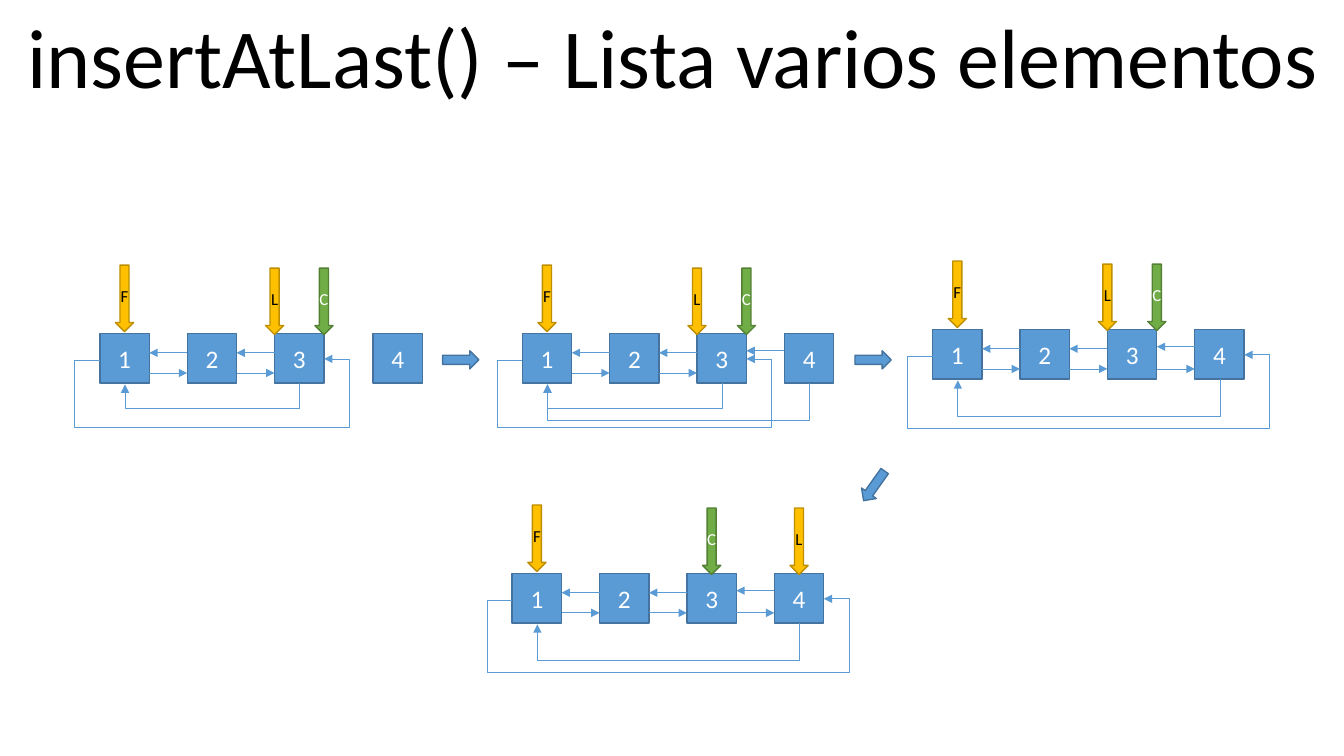
import pptx
import pptx.dml.color
import pptx.enum.shapes
import pptx.enum.text
import pptx.oxml
import pptx.oxml.ns
import pptx.util
from lxml import etree

SHAPE = pptx.enum.shapes.MSO_SHAPE
CONNECTOR = pptx.enum.shapes.MSO_CONNECTOR
CENTER = pptx.enum.text.PP_ALIGN.CENTER
MIDDLE = pptx.enum.text.MSO_ANCHOR.MIDDLE
Inches, Pt = pptx.util.Inches, pptx.util.Pt

SLIDE_WIDTH, SLIDE_HEIGHT = 13.33, 7.5
BLUE, DARK_BLUE = "5B9BD5", "43739E"
BLACK, WHITE = "000000", "FFFFFF"
POINTER_COLOURS = {
    "F": ("FFC000", "BD8E00", BLACK),
    "L": ("FFC000", "BD8E00", BLACK),
    "C": ("70AD47", "538035", WHITE),
}

# Node grid, in inches
NODE = 0.49
PITCH = 2.6 / 3
POINTER_WIDTH, POINTER_HEIGHT = 0.18, 0.66
STEP = 1 / 72  # height difference between the ends of a bent connector
SIDE = 0.25  # how far the outer loop leaves the row

# Each stage of the insertion. Pointers: letter -> (node index, share of the
# node's width); loops: (node index, depth in steps).
STAGES = [
    dict(left=0.99, top=3.31, pointers={"F": (0, 0.5), "L": (2, 0), "C": (2, 1)},
         last_left=3.7, back=2, forward=2, loops=[(2, 18)], outer=(2, 48.5)),
    dict(left=5.18, top=3.31, pointers={"F": (0, 0.5), "L": (2, 0), "C": (2, 1)},
         back=3, forward=2, loops=[(2, 18), (3, 27)], outer=(2, 48.5)),
    dict(left=9.25, top=3.27, pointers={"F": (0, 0.5), "L": (2, 0), "C": (2, 1)},
         back=3, forward=3, loops=[(3, 27)], outer=(3, 52.2)),
    dict(left=5.08, top=5.69, pointers={"F": (0, 0.5), "C": (2, 0.5), "L": (3, 0.5)},
         back=3, forward=3, loops=[(3, 27)], outer=(3, 52.2)),
]
STAGE_ARROWS = [(4.39, 3.48, 0), (8.48, 3.48, 0), (8.49, 4.73, 125.4)]


def colour(code):
    return pptx.dml.color.RGBColor.from_string(code)


def apply(target, values):
    for name, value in values.items():
        setattr(target, name, value)


def write(shape, text, size, code, margin=0):
    frame = shape.text_frame
    apply(frame, dict(word_wrap=True, margin_left=Inches(margin),
                      margin_right=Inches(margin)))
    para = frame.paragraphs[0]
    para.alignment = CENTER
    span = para.add_run()
    span.text = text
    apply(span.font, dict(size=Pt(size), name="Calibri"))
    span.font.color.rgb = colour(code)


def add_block(shapes, kind, box, fill, outline):
    block = shapes.add_shape(kind, *map(Inches, box))
    block.shadow.inherit = False
    block.fill.solid()
    block.fill.fore_color.rgb = colour(fill)
    block.line.color.rgb = colour(outline)
    block.line.width = Pt(1)
    block.text_frame.vertical_anchor = MIDDLE
    return block


def add_link(shapes, start, end, kind=CONNECTOR.STRAIGHT):
    link = shapes.add_connector(kind, *map(Inches, start + end))
    link.line.color.rgb = colour(BLUE)
    link.line.width = Pt(0.5)
    properties = link._element.spPr
    tail = etree.SubElement(properties.get_or_add_ln(), pptx.oxml.ns.qn("a:tailEnd"))
    tail.set("type", "triangle")
    etree.SubElement(properties, pptx.oxml.ns.qn("a:effectLst"))
    return link


def add_bent_link(shapes, box, preset, turn, adjustments):
    left, top, width, height = box
    link = add_link(shapes, (left, top), (left + width, top + height), CONNECTOR.ELBOW)
    properties = link._element.spPr
    for name, value in turn.items():
        properties.xfrm.set(name, value)
    geometry = properties.find(pptx.oxml.ns.qn("a:prstGeom"))
    geometry.set("prst", preset)
    values = geometry.find(pptx.oxml.ns.qn("a:avLst"))
    for number, share in enumerate(adjustments, 1):
        guide = etree.SubElement(values, pptx.oxml.ns.qn("a:gd"))
        guide.set("name", f"adj{number}" if len(adjustments) > 1 else "adj1")
        guide.set("fmla", f"val {round(share * 100000)}")


def add_inner_loop(shapes, start_x, end_x, y, depth):
    """Runs from under the start node to under the end node."""
    span = start_x - end_x
    middle_x, middle_y = (start_x + end_x) / 2, y + STEP / 2
    box = (middle_x - STEP / 2, middle_y - span / 2, STEP, span)
    add_bent_link(shapes, box, "bentConnector3", {"rot": "5400000"}, [depth])


def add_outer_loop(shapes, left, right, y, depth):
    """Runs from the left side of the row, below it, to the right side."""
    width = right - left
    side = SIDE / width
    add_bent_link(shapes, (left, y, width, STEP), "bentConnector5",
                  {"rot": "10800000", "flipH": "1"}, [-side, -depth, 1 + side])


def add_title(page, box):
    title = page.shapes.add_textbox(*map(Inches, box))
    write(title, "insertAtLast() – Lista varios elementos", 60, BLACK, 0.1)


def add_stage(page, stage):
    shapes = page.shapes.add_group_shape().shapes
    top = stage["top"]
    lefts = [stage["left"] + index * PITCH for index in range(4)]
    lefts[3] = stage.get("last_left", lefts[3])

    # Nodes
    for number, left in enumerate(lefts, 1):
        node = add_block(shapes, SHAPE.RECTANGLE, (left, top, NODE, NODE), BLUE, DARK_BLUE)
        write(node, str(number), 18, WHITE)

    # Pointers
    for letter, (index, share) in stage["pointers"].items():
        fill, outline, ink = POINTER_COLOURS[letter]
        rise = 0.68 if letter == "F" else 0.65
        box = (lefts[index] + share * NODE - POINTER_WIDTH / 2, top - rise,
               POINTER_WIDTH, POINTER_HEIGHT)
        write(add_block(shapes, SHAPE.DOWN_ARROW, box, fill, outline), letter, 12, ink)

    # Links between neighbours
    for index in range(3):
        near, far = lefts[index] + NODE, lefts[index + 1]
        if index < stage["back"]:
            y = top + (0.17 if index == 2 else 0.19)
            add_link(shapes, (far, y), (near, y))
        if index < stage["forward"]:
            add_link(shapes, (near, top + 0.39), (far, top + 0.39))

    # Circular links
    for index, depth in stage["loops"]:
        add_inner_loop(shapes, lefts[index] + SIDE, lefts[0] + SIDE, top + NODE, depth)
    index, depth = stage["outer"]
    add_outer_loop(shapes, lefts[0], lefts[index] + NODE, top + 0.25, depth)


def add_stage_arrows(page):
    for left, top, angle in STAGE_ARROWS:
        arrow = add_block(page.shapes, SHAPE.RIGHT_ARROW, (left, top, 0.36, 0.18),
                          BLUE, DARK_BLUE)
        arrow.rotation = angle


def main():
    deck = pptx.Presentation()
    apply(deck, dict(slide_width=Inches(SLIDE_WIDTH), slide_height=Inches(SLIDE_HEIGHT)))
    page = deck.slides.add_slide(deck.slide_layouts[6])
    add_title(page, (0.01, 0, 13.32, 1.11))
    for stage in STAGES:
        add_stage(page, stage)
    add_stage_arrows(page)
    deck.save("out.pptx")


if __name__ == "__main__":
    main()
